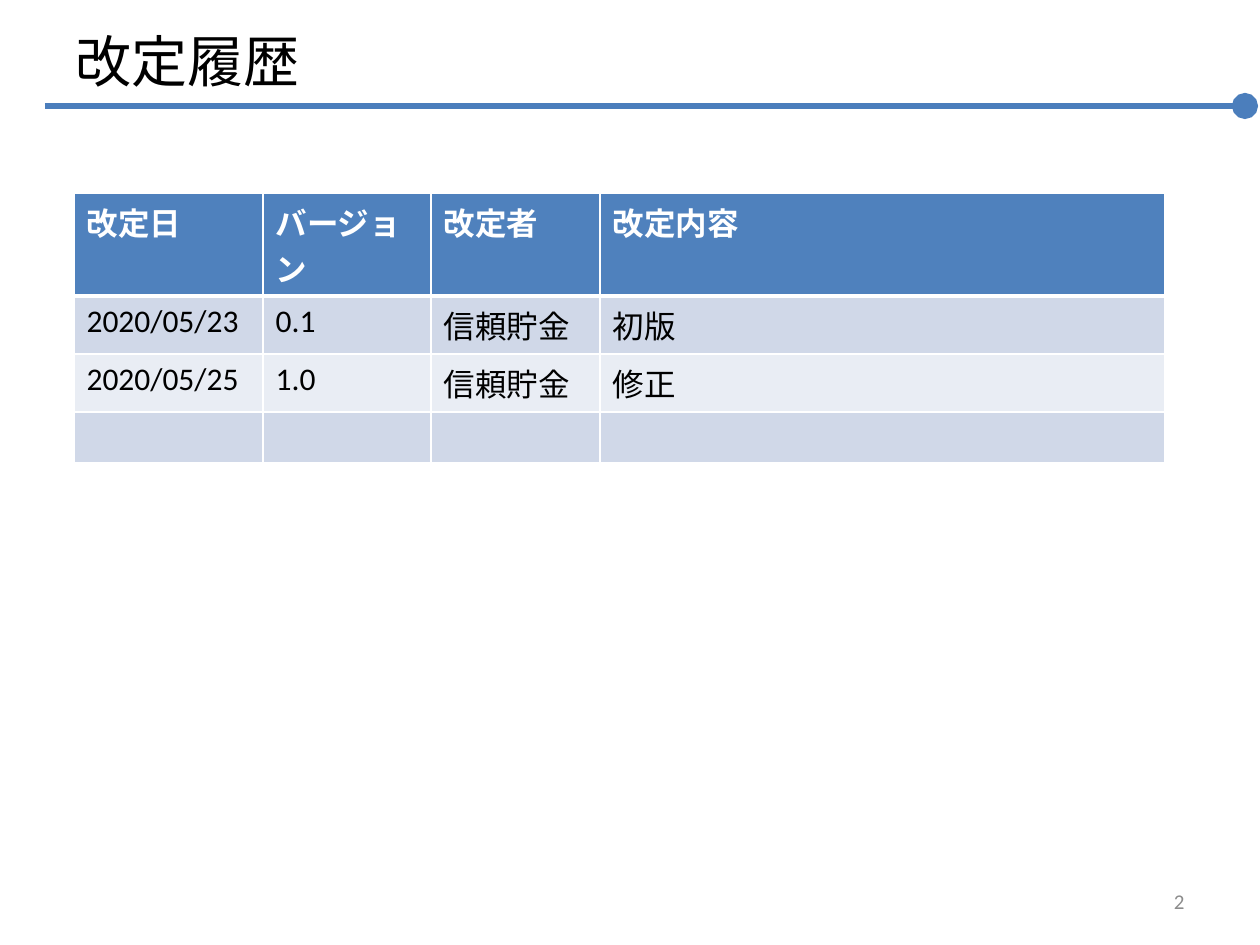
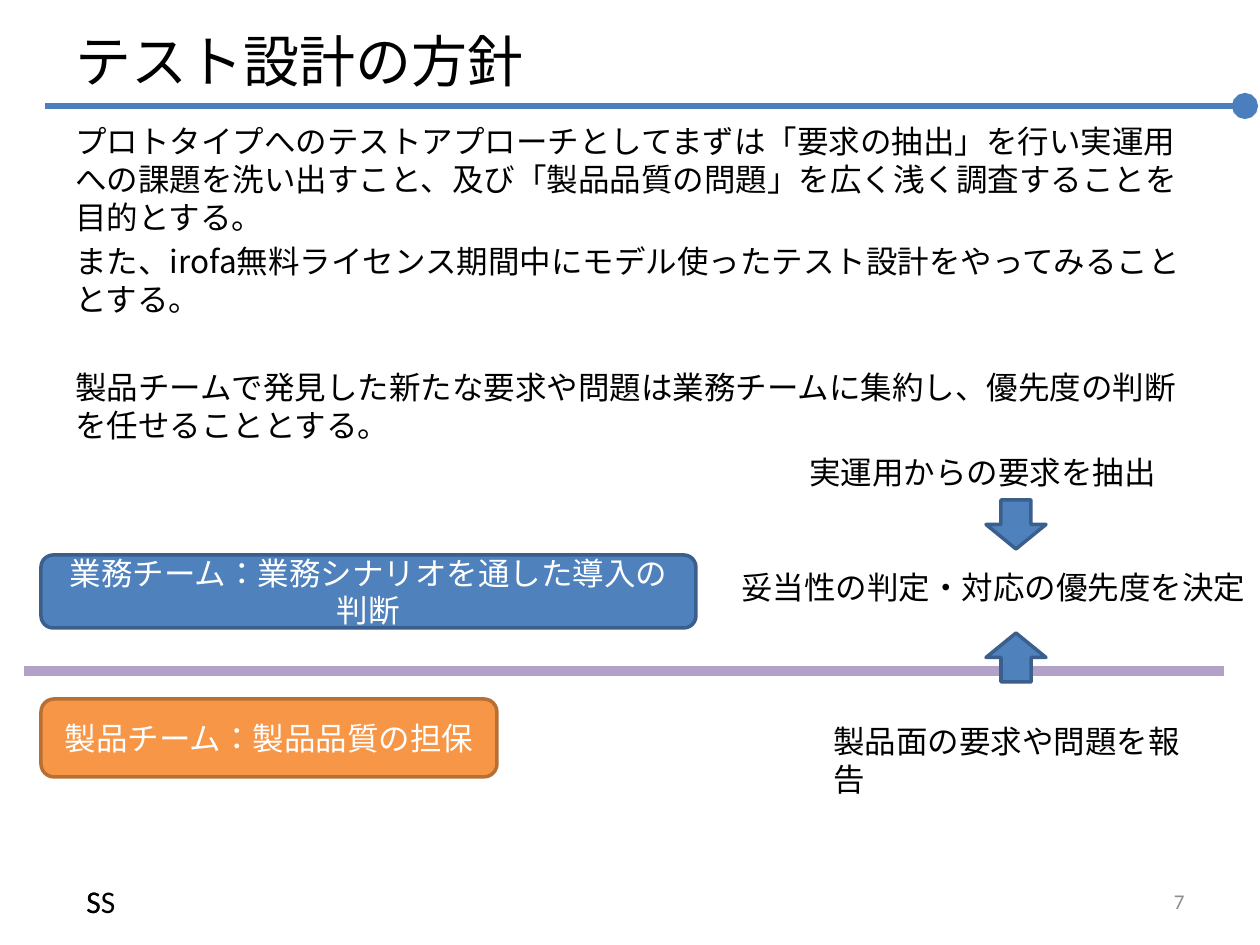
from lxml.etree import SubElement
from pptx import Presentation
from pptx.dml.color import RGBColor
from pptx.enum.lang import MSO_LANGUAGE_ID
from pptx.enum.shapes import MSO_CONNECTOR, MSO_SHAPE
from pptx.enum.text import MSO_ANCHOR, PP_ALIGN
from pptx.oxml.ns import qn
from pptx.util import Inches, Pt

PIXEL = Inches(1) / 126
LATIN_FONT = "Calibri"
JAPANESE_FONT = "Noto Sans CJK JP"

BLACK = RGBColor(0x00, 0x00, 0x00)
WHITE = RGBColor(0xFF, 0xFF, 0xFF)
GRAY = RGBColor(0x8C, 0x8C, 0x8C)
RULE_BLUE = RGBColor(0x4B, 0x7E, 0xBC)
BLUE = RGBColor(0x4F, 0x81, 0xBD)
DARK_BLUE = RGBColor(0x3A, 0x5F, 0x8C)
ORANGE = RGBColor(0xF7, 0x96, 0x46)
DARK_ORANGE = RGBColor(0xB7, 0x6F, 0x34)
PURPLE = RGBColor(0xB3, 0xA2, 0xC7)
BAND_DARK = RGBColor(0xD0, 0xD8, 0xE8)
BAND_LIGHT = RGBColor(0xE9, 0xED, 0xF4)

REVISION_WIDTHS = [189, 168, 169, 565]
REVISION_HEIGHTS = [103, 58, 58, 51]
REVISION_ROWS = [
    ["改定日", "バージョン", "改定者", "改定内容"],
    ["2020/05/23", "0.1", "信頼貯金", "初版"],
    ["2020/05/25", "1.0", "信頼貯金", "修正"],
    ["", "", "", ""],
]
POLICY = [
    ("プロトタイプへのテストアプローチとしてまずは「要求の抽出」を行い実運用への課題を洗い出すこと、"
     "及び「製品品質の問題」を広く浅く調査することを目的とする。", 3.6),
    ("また、irofa無料ライセンス期間中にモデル使ったテスト設計をやってみることとする。", 3.6),
    ("製品チームで発見した新たな要求や問題は業務チームに集約し、優先度の判断を任せることとする。", 28.8),
]


def px(*lengths):
    return [round(length * PIXEL) for length in lengths]


def format_text(text_frame, size=18, color=BLACK, latin=LATIN_FONT,
                east_asian=LATIN_FONT, bold=False, align=PP_ALIGN.LEFT):
    for paragraph in text_frame.paragraphs:
        paragraph.alignment = align
        for run in paragraph.runs:
            run.font.size = Pt(size)
            run.font.bold = bold
            run.font.color.rgb = color
            run.font.name = latin
            run.font.language_id = MSO_LANGUAGE_ID.JAPANESE
            SubElement(run.font._element, qn("a:ea")).set("typeface", east_asian)


def add_text(slide, text, box, wrap=True, anchor=MSO_ANCHOR.TOP, **style):
    text_frame = slide.shapes.add_textbox(*px(*box)).text_frame
    text_frame.word_wrap = wrap
    text_frame.vertical_anchor = anchor
    text_frame.text = text
    format_text(text_frame, **style)
    return text_frame


def add_line(slide, start, end, color, width, tail=None):
    line = slide.shapes.add_connector(MSO_CONNECTOR.STRAIGHT, *px(*start, *end))
    line.line.color.rgb = color
    line.line.width = Pt(width)
    if tail:
        tail_end = SubElement(line.line._get_or_add_ln(), qn("a:tailEnd"))
        for name, value in (("type", tail), ("w", "lg"), ("len", "lg")):
            tail_end.set(name, value)
    SubElement(line._element.spPr, qn("a:effectLst"))


def add_block(slide, kind, box, fill, outline, text="", rotation=0):
    block = slide.shapes.add_shape(kind, *px(*box))
    block.shadow.inherit = False
    block.fill.solid()
    block.fill.fore_color.rgb = fill
    block.line.color.rgb = outline
    block.line.width = Pt(2)
    block.rotation = rotation
    if text:
        block.text_frame.text = text
        block.text_frame.word_wrap = True
        block.text_frame.vertical_anchor = MSO_ANCHOR.MIDDLE
        format_text(block.text_frame, color=WHITE, align=PP_ALIGN.CENTER)


def add_titled_slide(presentation, title_text, number):
    slide = presentation.slides.add_slide(presentation.slide_layouts[5])
    add_line(slide, (45, 106), (1245, 106), RULE_BLUE, 3, tail="oval")
    title = slide.shapes.title
    title.left, title.top, title.width, title.height = px(63, 17, 1134, 87)
    title.text_frame.text = title_text
    title.text_frame.vertical_anchor = MSO_ANCHOR.MIDDLE
    format_text(title.text_frame, size=32, latin=JAPANESE_FONT, east_asian=JAPANESE_FONT)
    add_text(slide, number, (903, 876, 294, 50), anchor=MSO_ANCHOR.MIDDLE,
             size=12, color=GRAY, align=PP_ALIGN.RIGHT)
    return slide


def add_cell_borders(cell, bottom_width):
    properties = cell._tc.get_or_add_tcPr()
    for side, width in (("L", 1), ("R", 1), ("T", 1), ("B", bottom_width)):
        border = SubElement(properties, qn(f"a:ln{side}"))
        border.set("w", str(Pt(width)))
        fill = SubElement(border, qn("a:solidFill"))
        SubElement(fill, qn("a:srgbClr")).set("val", str(WHITE))


def add_revision_table(slide):
    box = px(74, 193, sum(REVISION_WIDTHS), sum(REVISION_HEIGHTS))
    table = slide.shapes.add_table(len(REVISION_ROWS), len(REVISION_WIDTHS), *box).table
    for column, width in zip(table.columns, px(*REVISION_WIDTHS)):
        column.width = width
    for row, height in zip(table.rows, px(*REVISION_HEIGHTS)):
        row.height = height
    for row_index, texts in enumerate(REVISION_ROWS):
        header = row_index == 0
        band = BLUE if header else BAND_DARK if row_index % 2 else BAND_LIGHT
        for column_index, text in enumerate(texts):
            cell = table.cell(row_index, column_index)
            add_cell_borders(cell, 3 if header else 1)
            cell.fill.solid()
            cell.fill.fore_color.rgb = band
            cell.text_frame.text = text
            format_text(cell.text_frame, color=WHITE if header else BLACK,
                        east_asian=JAPANESE_FONT, bold=header)


def add_policy(slide):
    text = "\n".join(sentence for sentence, _ in POLICY)
    text_frame = add_text(slide, text, (63, 116, 1134, 735),
                          latin=JAPANESE_FONT, east_asian=JAPANESE_FONT)
    for paragraph, (_, space) in zip(text_frame.paragraphs, POLICY):
        paragraph.space_before = Pt(space)


def add_team_flow(slide):
    add_line(slide, (24, 671), (1224, 671), PURPLE, 6)
    add_text(slide, "製品面の要求や問題を報告", (821, 716, 402, 50))
    add_block(slide, MSO_SHAPE.ROUNDED_RECTANGLE, (41, 699, 456, 78),
              ORANGE, DARK_ORANGE, "製品チーム：製品品質の担保")
    add_block(slide, MSO_SHAPE.ROUNDED_RECTANGLE, (41, 555, 655, 73),
              BLUE, DARK_BLUE, "業務チーム：業務シナリオを通した導入の判断")
    add_text(slide, "妥当性の判定・対応の優先度を決定", (729, 562, 531, 89))
    add_text(slide, "実運用からの要求を抽出", (797, 447, 463, 50))
    for top, rotation in ((500, 0), (633, 180)):
        add_block(slide, MSO_SHAPE.DOWN_ARROW, (986, top, 60, 49),
                  BLUE, DARK_BLUE, rotation=rotation)
    for initials, width in (("S", 40), ("SS", 54)):
        add_text(slide, initials, (74, 876, width, 50), wrap=False)


def main():
    presentation = Presentation()
    presentation.slide_width, presentation.slide_height = px(1260, 945)
    add_revision_table(add_titled_slide(presentation, "改定履歴", "2"))
    policy_slide = add_titled_slide(presentation, "テスト設計の方針", "7")
    add_policy(policy_slide)
    add_team_flow(policy_slide)
    presentation.save("out.pptx")


if __name__ == "__main__":
    main()
